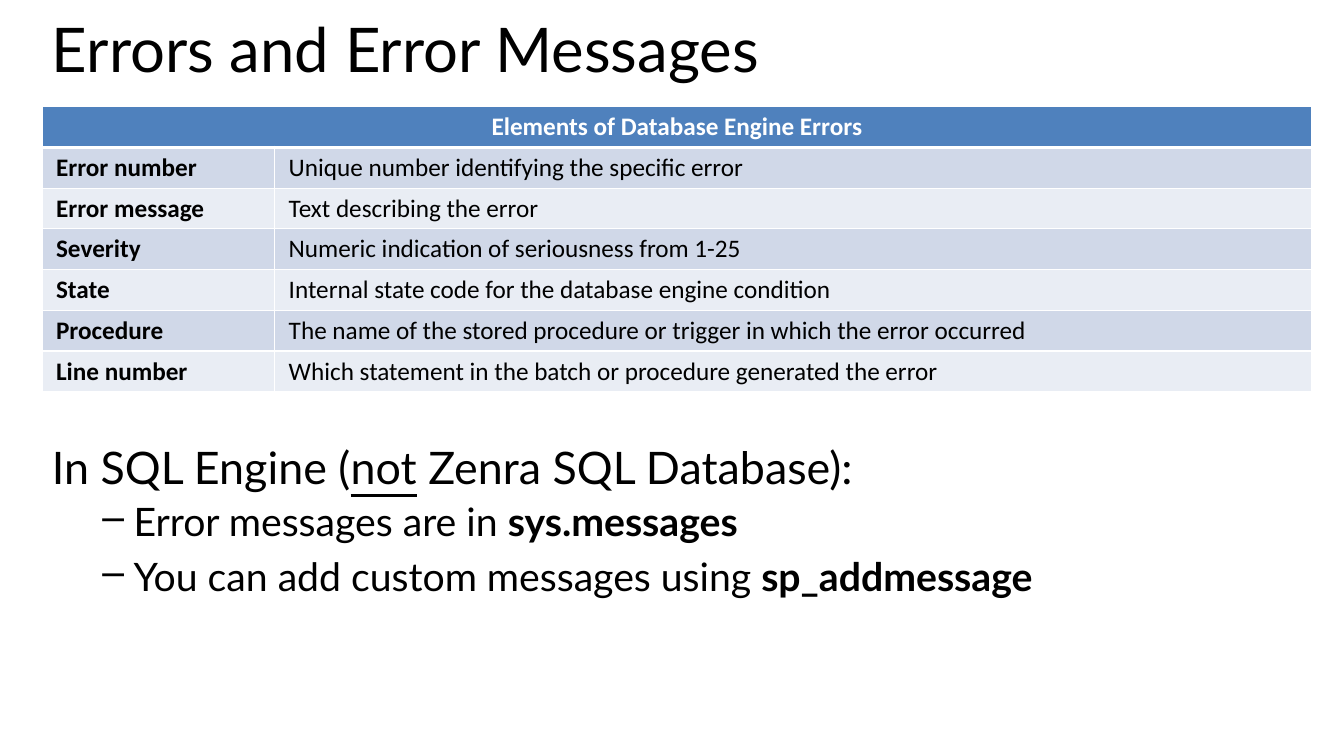
from dataclasses import dataclass

from lxml.etree import SubElement as Sub
from pptx import Presentation
from pptx.dml.color import RGBColor as RGB
from pptx.enum.text import MSO_ANCHOR as ANCHOR, PP_ALIGN as ALIGN
from pptx.oxml import parse_xml
from pptx.oxml.ns import nsdecls, qn
from pptx.util import Inches, Pt


@dataclass(frozen=True)
class Theme:
    ink: str = "000000"
    paper: str = "FFFFFF"
    header: str = "4F81BD"
    bands: tuple = ("D0D8E8", "E9EDF4")
    text_font: str = "Lato"
    table_font: str = "Calibri"
    title_size: int = 44
    lead_size: int = 32
    bullet_size: int = 28
    table_size: int = 18
    rule: int = 1
    header_rule: int = 3


def add_run(p, text, font, size, color, bold=False, underline=False):
    """Add a formatted run to a paragraph."""
    r = p.add_run()
    r.text = text
    f = r.font
    f.name, f.size, f.bold, f.underline = font, Pt(size), bold, underline
    f.color.rgb = RGB.from_string(color)


class Deck:
    """Hold the theme and current slide, placed on a 32 by 18 grid."""

    COLS, ROWS = 32, 18

    def __init__(self, theme):
        self.t = theme
        self.prs = Presentation()
        self.prs.slide_width, self.prs.slide_height = Inches(13.33), Inches(7.5)
        self.s = self.prs.slides.add_slide(self.prs.slide_layouts[6])

    def col(self, n):
        return round(self.prs.slide_width * n / self.COLS)

    def row(self, n):
        return round(self.prs.slide_height * n / self.ROWS)

    def frame(self, x, y, w, h):
        box = self.s.shapes.add_textbox(self.col(x), self.row(y), self.col(w), self.row(h))
        tf = box.text_frame
        tf.word_wrap = True
        tf.vertical_anchor = ANCHOR.TOP
        return tf

    def title(self, text, *place):
        p = self.frame(*place).paragraphs[0]
        p.line_spacing = 0.8
        add_run(p, text, self.t.text_font, self.t.title_size, self.t.ink)

    def body(self, lead, bullets, *place):
        tf = self.frame(*place)
        p = tf.paragraphs[0]
        p.space_before = Pt(14)
        for text, fmt in lead:
            add_run(p, text, self.t.text_font, self.t.lead_size, self.t.ink, **fmt)
        for text, name in bullets:
            p = tf.add_paragraph()
            p.level = 1
            p.space_before = p.space_after = Pt(3)
            pPr = p._p.get_or_add_pPr()
            pPr.set("marL", str(Inches(0.81)))
            pPr.set("indent", str(Inches(-0.31)))
            Sub(pPr, qn("a:buChar")).set("char", "–")
            for part, bold in ((text, False), (name, True)):
                add_run(p, part, self.t.text_font, self.t.bullet_size, self.t.ink, bold=bold)

    def borders(self, cell, top, bottom):
        tcPr = cell._tc.get_or_add_tcPr()
        widths = {"L": self.t.rule, "R": self.t.rule, "T": top, "B": bottom}
        for i, (side, width) in enumerate(widths.items()):
            tcPr.insert(i, parse_xml(
                f'<a:ln{side} {nsdecls("a")} w="{Pt(width)}"><a:solidFill>'
                f'<a:srgbClr val="{self.t.paper}"/></a:solidFill></a:ln{side}>'))

    def table(self, heading, rows, x, y, widths, row_height):
        t = self.t
        count = len(rows) + 1
        tbl = self.s.shapes.add_table(
            count, len(widths), self.col(x), self.row(y),
            self.col(sum(widths)), self.row(row_height * count)).table
        tbl.horz_banding = False
        for column, width in zip(tbl.columns, widths):
            column.width = self.col(width)
        for i, texts in enumerate([(heading, ""), *rows]):
            tbl.rows[i].height = self.row(row_height)
            for j, text in enumerate(texts):
                cell = tbl.cell(i, j)
                cell.margin_left = cell.margin_right = Inches(0.14)
                cell.fill.solid()
                cell.fill.fore_color.rgb = RGB.from_string(t.bands[(i - 1) % 2] if i else t.header)
                self.borders(cell, t.header_rule if i == 1 else t.rule,
                             t.rule if i else t.header_rule)
                if text:
                    p = cell.text_frame.paragraphs[0]
                    p.alignment = ALIGN.LEFT if i else ALIGN.CENTER
                    add_run(p, text, t.table_font, t.table_size,
                            t.ink if i else t.paper, bold=j == 0)
        tbl.cell(0, 0).merge(tbl.cell(0, len(widths) - 1))


def main():
    deck = Deck(Theme())
    deck.title("Errors and Error Messages", 1, 0.48, 30.24, 2.78)
    deck.table("Elements of Database Engine Errors", [
        ("Error number", "Unique number identifying the specific error"),
        ("Error message", "Text describing the error"),
        ("Severity", "Numeric indication of seriousness from 1-25"),
        ("State", "Internal state code for the database engine condition"),
        ("Procedure", "The name of the stored procedure or trigger in which the error occurred"),
        ("Line number", "Which statement in the batch or procedure generated the error"),
    ], 1, 2.54, (5.54, 24.7), 0.97)
    deck.body(
        [("In SQL Engine (", {}), ("not", {"underline": True}), (" Zenra SQL Database):", {})],
        [("Error messages are in ", "sys.messages"),
         ("You can add custom messages using ", "sp_addmessage")],
        1, 10.34, 30.24, 7.18)
    deck.prs.save("out.pptx")


if __name__ == "__main__":
    main()
